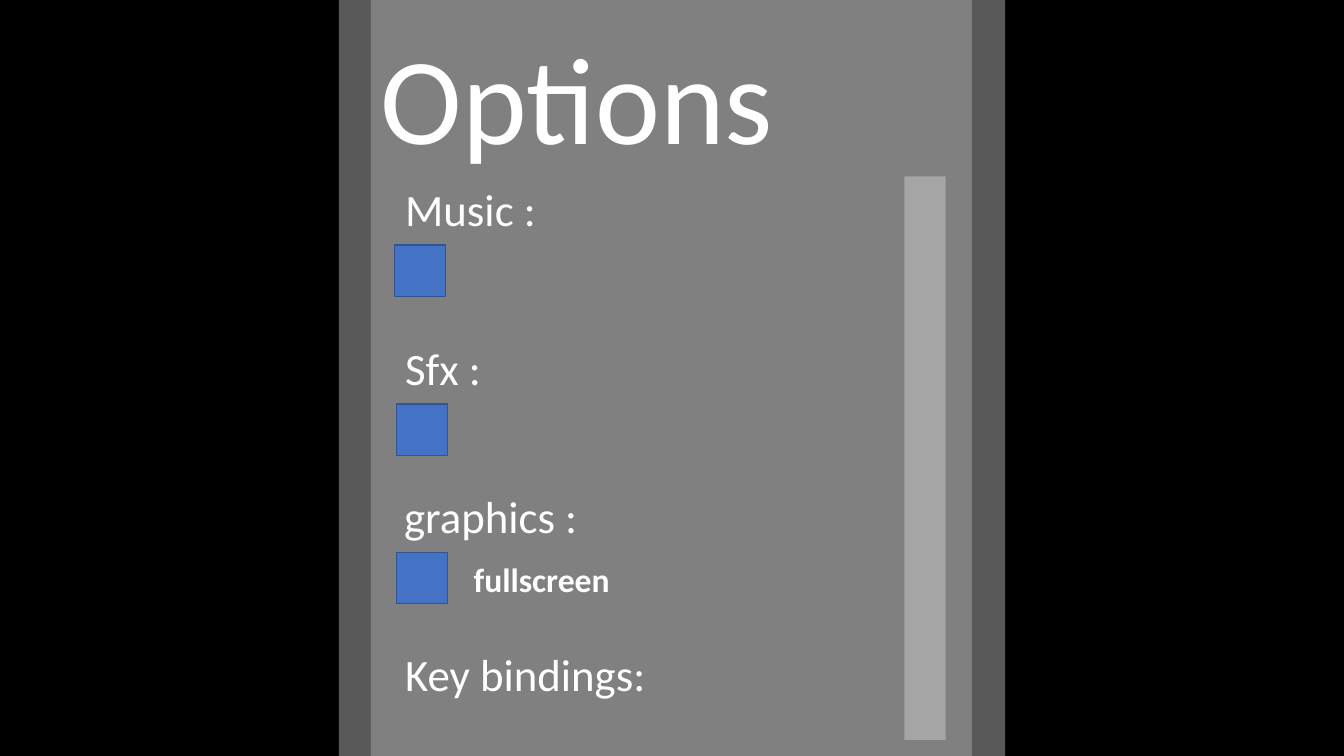
from pptx import Presentation
from pptx.dml.color import RGBColor
from pptx.enum import shapes, text
from pptx.util import Inches, Pt

BLACK = RGBColor(0x00, 0x00, 0x00)
WHITE = RGBColor(0xFF, 0xFF, 0xFF)
FRAME_GREY = RGBColor(0x59, 0x59, 0x59)
PANEL_GREY = RGBColor(0x80, 0x80, 0x80)
SCROLL_GREY = RGBColor(0xA5, 0xA5, 0xA5)
BLUE = RGBColor(0x44, 0x72, 0xC4)
DARK_BLUE = RGBColor(0x32, 0x54, 0x91)

WIDTH, HEIGHT = 13.33, 7.5
FONT = "Calibri"


def add_block(page, left, top, width, height, fill, outline=None):
    block = page.shapes.add_shape(
        shapes.MSO_SHAPE.RECTANGLE,
        Inches(left), Inches(top), Inches(width), Inches(height),
    )
    block.shadow.inherit = False
    block.fill.solid()
    block.fill.fore_color.rgb = fill
    if outline is None:
        block.line.fill.background()
    else:
        block.line.color.rgb = outline
        block.line.width = Pt(1)


def add_label(page, left, top, width, height, wording, size, bold=False):
    box = page.shapes.add_textbox(
        Inches(left), Inches(top), Inches(width), Inches(height)
    )
    frame = box.text_frame
    frame.word_wrap = True
    frame.auto_size = text.MSO_AUTO_SIZE.SHAPE_TO_FIT_TEXT
    span = frame.paragraphs[0].add_run()
    span.text = wording
    span.font.name = FONT
    span.font.size = Pt(size)
    span.font.bold = bold
    span.font.color.rgb = WHITE


def add_checkbox(page, left, top):
    add_block(page, left, top, 0.51, 0.51, BLUE, DARK_BLUE)


def main():
    deck = Presentation()
    deck.slide_width = Inches(WIDTH)
    deck.slide_height = Inches(HEIGHT)
    page = deck.slides.add_slide(deck.slide_layouts[6])

    add_block(page, 0, 0, WIDTH, HEIGHT, BLACK)
    add_block(page, 3.36, 0, 6.61, HEIGHT, FRAME_GREY)
    add_block(page, 3.68, 0, 5.96, HEIGHT, PANEL_GREY)
    add_label(page, 3.68, 0.16, 5.96, 1.58, "Options", 88)
    add_block(page, 8.97, 1.75, 0.41, 5.59, SCROLL_GREY)

    settings = [
        ("Music :", 3.92, 1.75, 3.91),
        ("Sfx :", 3.92, 3.33, 3.93),
        ("graphics :", 3.91, 4.8, 3.93),
    ]
    for wording, left, top, checkbox_left in settings:
        add_label(page, left, top, 3.26, 0.64, wording, 32)
        add_checkbox(page, checkbox_left, top + 0.68)
    add_label(page, 3.92, 6.37, 3.74, 0.64, "Key bindings:", 32)
    add_label(page, 4.6, 5.5, 3.26, 0.5, "fullscreen", 24, bold=True)

    deck.save("out.pptx")


if __name__ == "__main__":
    main()
